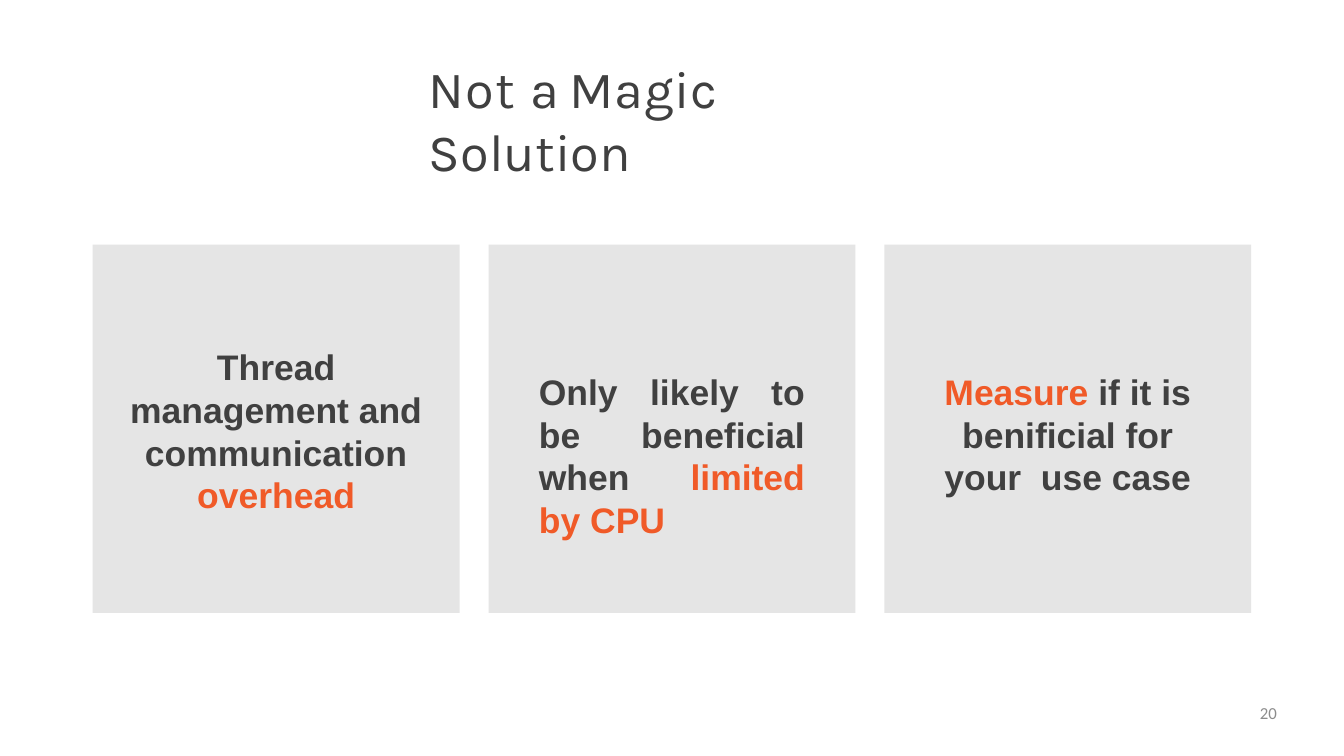
from dataclasses import dataclass

from pptx import Presentation
from pptx.dml.color import RGBColor
from pptx.enum.shapes import MSO_SHAPE
from pptx.enum.text import MSO_ANCHOR, PP_ALIGN
from pptx.util import Inches, Pt


@dataclass(frozen=True)
class Theme:
    ink = RGBColor.from_string("404040")
    accent = RGBColor.from_string("F05A28")
    card = RGBColor.from_string("E5E5E5")
    muted = RGBColor.from_string("8C8C8C")
    title_size = Pt(56)
    card_size = Pt(38)
    number_size = Pt(18)


theme = Theme()


def set_frame(shape, side=0, top=0):
    """Wrap the text from the top, with equal side insets; return its first paragraph."""
    frame = shape.text_frame
    frame.word_wrap = True
    frame.vertical_anchor = MSO_ANCHOR.TOP
    frame.margin_left = frame.margin_right = Inches(side)
    frame.margin_top, frame.margin_bottom = Inches(top), 0
    return frame.paragraphs[0]


def set_font(paragraph, name, size, color, bold=False):
    font = paragraph.font
    font.name, font.size, font.bold = name, size, bold
    font.color.rgb = color


prs = Presentation()
prs.slide_width, prs.slide_height = Inches(20), Inches(11.25)
slide = prs.slides.add_slide(prs.slide_layouts[6])

# Title, with its letter spacing in hundredths of a point
title_box = slide.shapes.add_textbox(Inches(6.38), Inches(0.82), Inches(7.23), Inches(0.96))
title = set_frame(title_box, top=0.02)
set_font(title, "Karla", theme.title_size, theme.ink)
for words, tracking in [("Not ", 140), ("a ", -170), ("Magic ", 60), ("Solution", 10)]:
    run = title.add_run()
    run.text = words
    run.font._element.set("spc", str(tracking))

# Three cards: alignment, side inset, top inset, (words, is accented)
cards = [
    (PP_ALIGN.CENTER, 0.5, 1.5,
     [("Thread management and communication ", False), ("overhead", True)]),
    (PP_ALIGN.JUSTIFY, 0.75, 1.87,
     [("Only likely to be beneficial when ", False), ("limited by CPU", True)]),
    (PP_ALIGN.CENTER, 0.6, 1.87,
     [("Measure ", True), ("if it is benificial for your  use case", False)]),
]
card_left, card_width, card_gap = 1.38, 5.46, 0.43
for index, (alignment, side, top, phrases) in enumerate(cards):
    left = card_left + index * (card_width + card_gap)
    card = slide.shapes.add_shape(
        MSO_SHAPE.RECTANGLE, Inches(left), Inches(3.64), Inches(card_width), Inches(5.48))
    card.shadow.inherit = False
    card.fill.solid()
    card.fill.fore_color.rgb = theme.card
    card.line.fill.background()
    message = set_frame(card, side, top)
    message.alignment = alignment
    set_font(message, "Arial", theme.card_size, theme.ink, bold=True)
    for words, accented in phrases:
        run = message.add_run()
        run.text = words
        run.font.color.rgb = theme.accent if accented else theme.ink

# Slide number
number_box = slide.shapes.add_textbox(Inches(14.4), Inches(10.46), Inches(4.6), Inches(0.56))
number = set_frame(number_box)
number.text = "20"
number.alignment = PP_ALIGN.RIGHT
set_font(number, "Calibri", theme.number_size, theme.muted)

prs.save("out.pptx")
